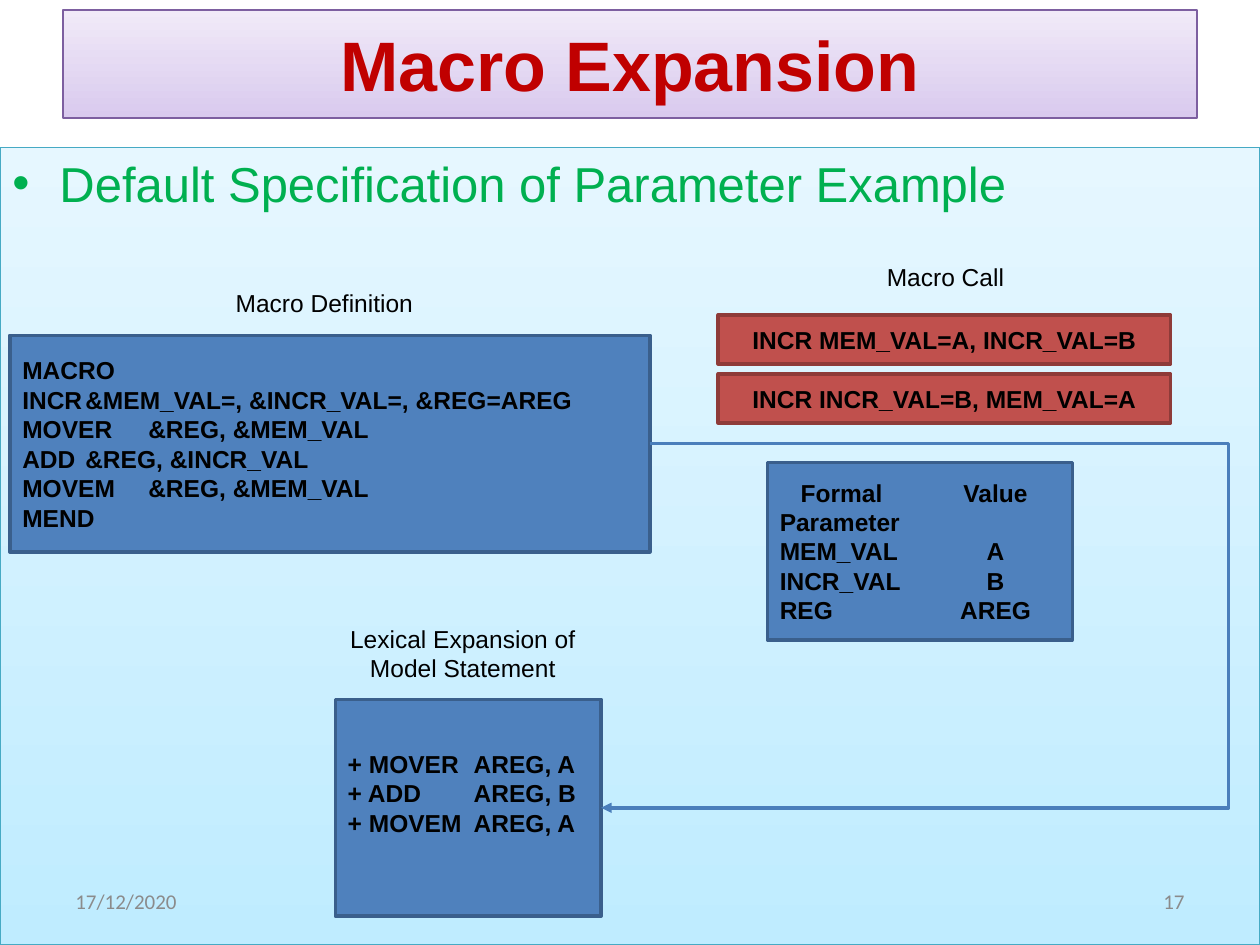
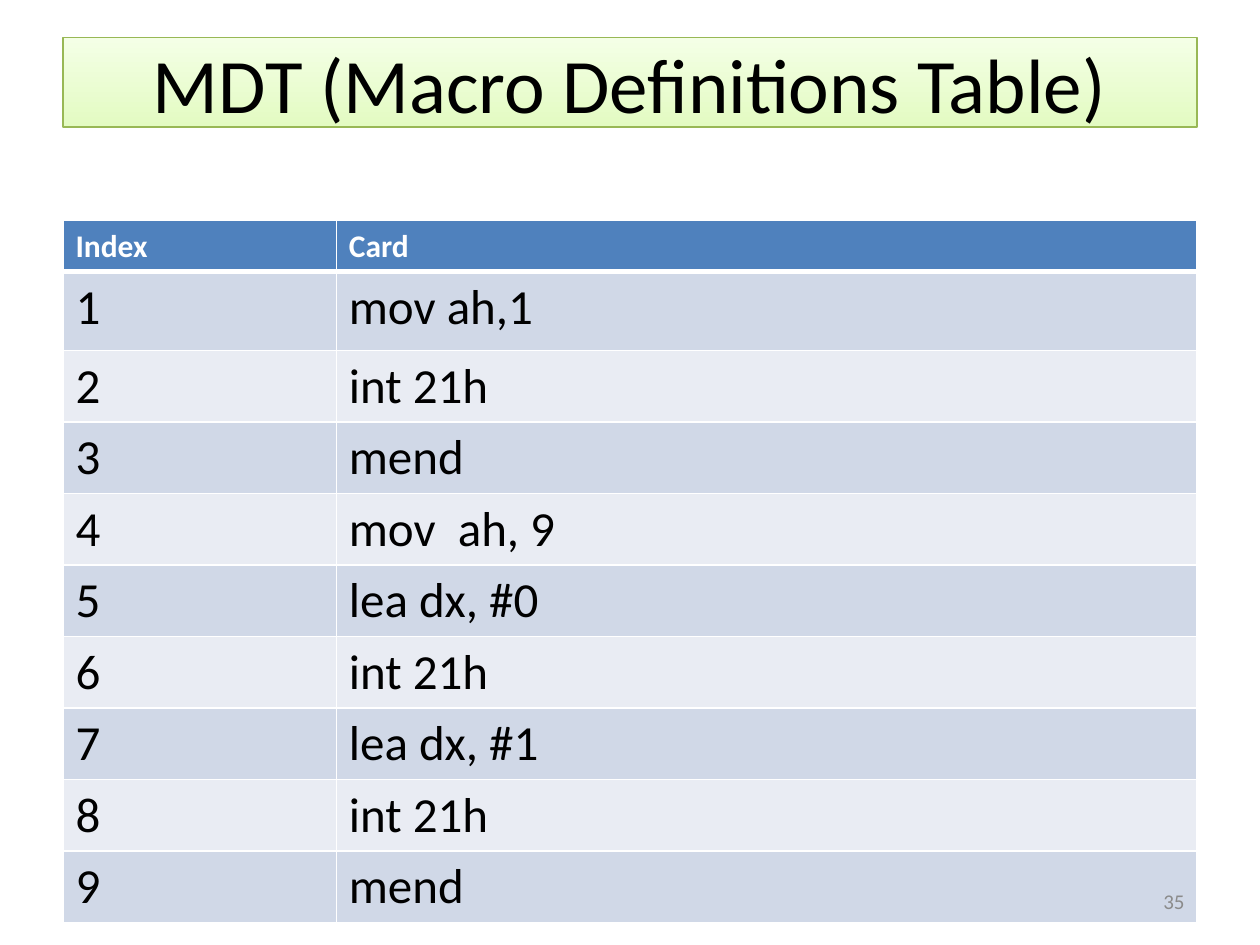
from pptx import Presentation
from pptx.dml.color import RGBColor
from pptx.enum.shapes import MSO_CONNECTOR, MSO_SHAPE
from pptx.enum.text import MSO_ANCHOR, PP_ALIGN
from pptx.oxml import parse_xml
from pptx.oxml.ns import nsdecls, qn
from pptx.util import Cm, Pt
from lxml.etree import SubElement

# Shared colours
WHITE = RGBColor(0xFF, 0xFF, 0xFF)
BLACK = RGBColor(0x00, 0x00, 0x00)
GREY = RGBColor(0x8B, 0x8B, 0x8B)
RED = RGBColor(0xC0, 0x00, 0x00)
GREEN = RGBColor(0x00, 0xB0, 0x50)
BLUE = RGBColor(0x4F, 0x81, 0xBD)
NAVY = RGBColor(0x3A, 0x5F, 0x8C)
WIRE = RGBColor(0x4A, 0x7E, 0xBB)
BRICK = RGBColor(0xC0, 0x50, 0x4D)
RUST = RGBColor(0x8E, 0x3B, 0x39)
TEAL = RGBColor(0x46, 0xAA, 0xC4)
PLUM = RGBColor(0x7D, 0x5F, 0xA0)
OLIVE = RGBColor(0x98, 0xB8, 0x55)
BANDS = [RGBColor(0xD0, 0xD8, 0xE7), RGBColor(0xE9, 0xEC, 0xF3)]
# Gradients run from bottom to top
SKY = [RGBColor(0xBF, 0xEC, 0xFF), RGBColor(0xE6, 0xF7, 0xFF)]
LILAC = [RGBColor(0xD9, 0xCA, 0xEE), RGBColor(0xF1, 0xEA, 0xF8)]
LIME = [RGBColor(0xE3, 0xFB, 0xC2), RGBColor(0xF4, 0xFF, 0xE6)]

LEFT, CENTER, RIGHT = PP_ALIGN.LEFT, PP_ALIGN.CENTER, PP_ALIGN.RIGHT
TOP, MIDDLE = MSO_ANCHOR.TOP, MSO_ANCHOR.MIDDLE
EDGE, WIDE = 1.27, 22.86


def write(para, text, size, color, font="Arial", bold=False, align=LEFT):
    para.alignment = align
    run = para.add_run()
    run.text = text
    run.font.size, run.font.name, run.font.bold = Pt(size), font, bold
    run.font.color.rgb = color


def put(page, place, lines, size=14, color=BLACK, font="Arial", bold=False,
        align=LEFT, anchor=MIDDLE, fill=None, edge=None, weight=2):
    spot = [Cm(n) for n in place]
    if fill is None:
        shape = page.shapes.add_textbox(*spot)
    else:
        shape = page.shapes.add_shape(MSO_SHAPE.RECTANGLE, *spot)
        shape.shadow.inherit = False
        shape.line.color.rgb = edge
        shape.line.width = Pt(weight)
        if isinstance(fill, list):
            shape.fill.gradient()
            shape.fill.gradient_angle = 90
            for stop, tone in zip(shape.fill.gradient_stops, fill):
                stop.color.rgb = tone
        else:
            shape.fill.solid()
            shape.fill.fore_color.rgb = fill
    frame = shape.text_frame
    frame.word_wrap = True
    frame.vertical_anchor = anchor
    for i, text in enumerate(lines):
        para = frame.add_paragraph() if i else frame.paragraphs[0]
        write(para, text, size, color, font, bold, align)
    return shape


deck = Presentation()
deck.slide_width, deck.slide_height = Cm(25.4), Cm(19.05)
blank = deck.slide_layouts[6]
first, second = [deck.slides.add_slide(blank) for _ in range(2)]

# Slide 1: body panel with its bullet
body = put(first, (0, 2.97, 25.4, 16.08), ["Default Specification of Parameter Example"],
           28, GREEN, anchor=TOP, fill=SKY, edge=TEAL, weight=0.75)
props = body.text_frame.paragraphs[0]._p.get_or_add_pPr()
props.set("marL", str(Cm(0.95)))
props.set("indent", str(-Cm(0.95)))
SubElement(props, qn("a:buFont")).set("typeface", "Arial")
SubElement(props, qn("a:buChar")).set("char", "•")

# Slide 1: title
put(first, (EDGE, 0.2, WIDE, 2.18), ["Macro Expansion"], 40, RED, bold=True,
    align=CENTER, fill=LILAC, edge=PLUM, weight=0.75)

# Slide 1: code boxes
code = dict(bold=True, fill=BLUE, edge=NAVY)
macro = put(first, (0.2, 6.76, 12.9, 4.37), [
    "MACRO",
    "INCR\t&MEM_VAL=, &INCR_VAL=, &REG=AREG",
    "MOVER\t&REG, &MEM_VAL",
    "ADD\t&REG, &INCR_VAL",
    "MOVEM\t&REG, &MEM_VAL",
    "MEND"], **code)
model = put(first, (6.76, 14.1, 5.36, 4.37), [
    "+ MOVER\tAREG, A",
    "+ ADD\tAREG, B",
    "+ MOVEM\tAREG, A"], **code)
model.text_frame.margin_bottom = Cm(0.72)

# Slide 1: labels
for x, y, high, text in [
        (3.76, 5.69, 0.83, "Macro Definition"),
        (16.28, 5.16, 0.83, "Macro Call"),
        (6.55, 12.45, 1.42, "Lexical Expansion of Model Statement")]:
    put(first, (x, y, 5.56, high), [text], align=CENTER, anchor=TOP)

# Slide 1: macro calls
for i, call in enumerate(["INCR MEM_VAL=A, INCR_VAL=B", "INCR INCR_VAL=B, MEM_VAL=A"]):
    put(first, (14.48, 6.35 + 1.19 * i, 9.12, 0.99), [call], bold=True,
        align=CENTER, fill=BRICK, edge=RUST)

# Slide 1: parameter values, lined up by tab stops
values = put(first, (15.47, 9.32, 6.15, 3.58), [
    "\tFormal\tValue", "Parameter", "MEM_VAL\tA", "INCR_VAL\tB", "REG\tAREG"], **code)
for para in values.text_frame.paragraphs:
    tabs = SubElement(para._p.get_or_add_pPr(), qn("a:tabLst"))
    for pos, kind in [(0.42, "l"), (4.35, "ctr")]:
        tab = SubElement(tabs, qn("a:tab"))
        tab.set("pos", str(Cm(pos)))
        tab.set("algn", kind)

# Slide 1: arrow from the definition round to the expansion
start, end = macro.left + macro.width, model.left + model.width
wire = first.shapes.add_connector(
    MSO_CONNECTOR.ELBOW, start, macro.top + macro.height // 2,
    end, model.top + model.height // 2)
wire.begin_connect(macro, 3)
wire.end_connect(model, 3)
wire.line.color.rgb = WIRE
wire.line.width = Pt(2)
SubElement(wire.line._get_or_add_ln(), qn("a:tailEnd")).set("type", "triangle")
SubElement(wire._element.spPr, qn("a:effectLst"))
turn = round((start - Cm(24.77)) / (start - end) * 100000)
guide = SubElement(wire._element.spPr.prstGeom.get_or_add_avLst(), qn("a:gd"))
guide.set("name", "adj1")
guide.set("fmla", f"val {turn}")

# Slide 2: title
put(second, (EDGE, 0.76, WIDE, 1.8), ["MDT (Macro Definitions Table)"], 44,
    font="Calibri", align=CENTER, fill=LIME, edge=OLIVE, weight=0.75)

# Slide 2: table
cards = ["mov ah,1", "int 21h", "mend", "mov  ah, 9", "lea dx, #0",
         "int 21h", "lea dx, #1", "int 21h", "mend"]
rows = [("Index", "Card")] + [(str(i), card) for i, card in enumerate(cards, 1)]
highs = [1, 1.6] + [1.4] * 8
grid = second.shapes.add_table(len(rows), 2, Cm(EDGE), Cm(4.45), Cm(WIDE), Cm(sum(highs))).table
grid.horz_banding = False
for col, wide in zip(grid.columns, (5.51, 17.35)):
    col.width = Cm(wide)
for r, (row, high) in enumerate(zip(rows, highs)):
    grid.rows[r].height = Cm(high)
    head = r == 0
    for c, text in enumerate(row):
        cell = grid.cell(r, c)
        cell.fill.solid()
        cell.fill.fore_color.rgb = BLUE if head else BANDS[(r - 1) % 2]
        write(cell.text_frame.paragraphs[0], text, 18 if head else 28,
              WHITE if head else BLACK, "Calibri", head)
        for i, side in enumerate("LRTB"):
            thick = (r, side) in [(0, "B"), (1, "T")]
            cell._tc.get_or_add_tcPr().insert(i, parse_xml(
                f'<a:ln{side} {nsdecls("a")} w="{Pt(3 if thick else 0.96)}"><a:solidFill>'
                f'<a:srgbClr val="{WHITE}"/></a:solidFill></a:ln{side}>'))

# Footers
foot = dict(size=12, color=GREY, font="Calibri")
put(first, (EDGE, 17.65, 5.92, 1.02), ["17/12/2020"], **foot)
for page, number in [(first, "17"), (second, "35")]:
    put(page, (18.21, 17.65, 5.92, 1.02), [number], align=RIGHT, **foot)

deck.save("out.pptx")
